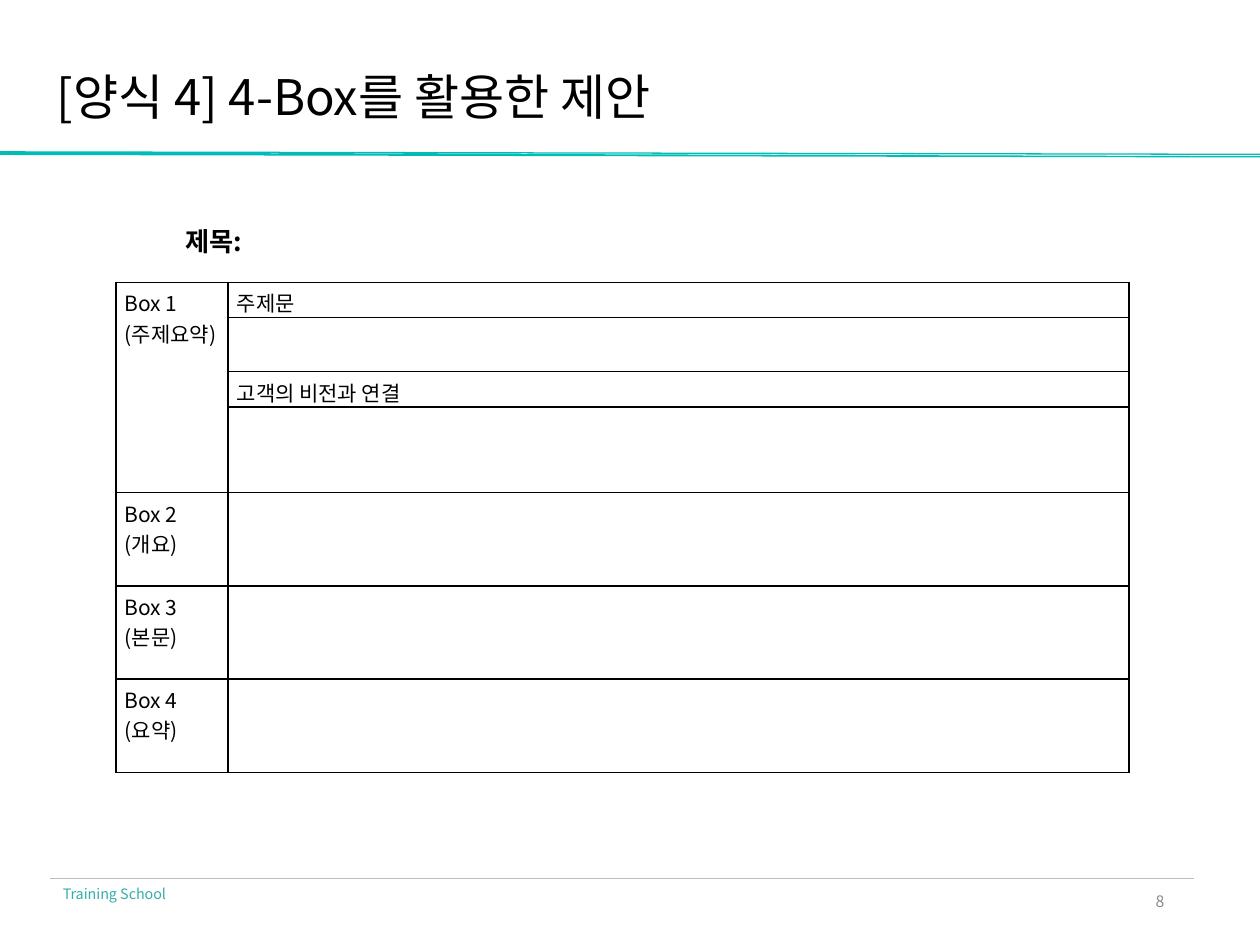
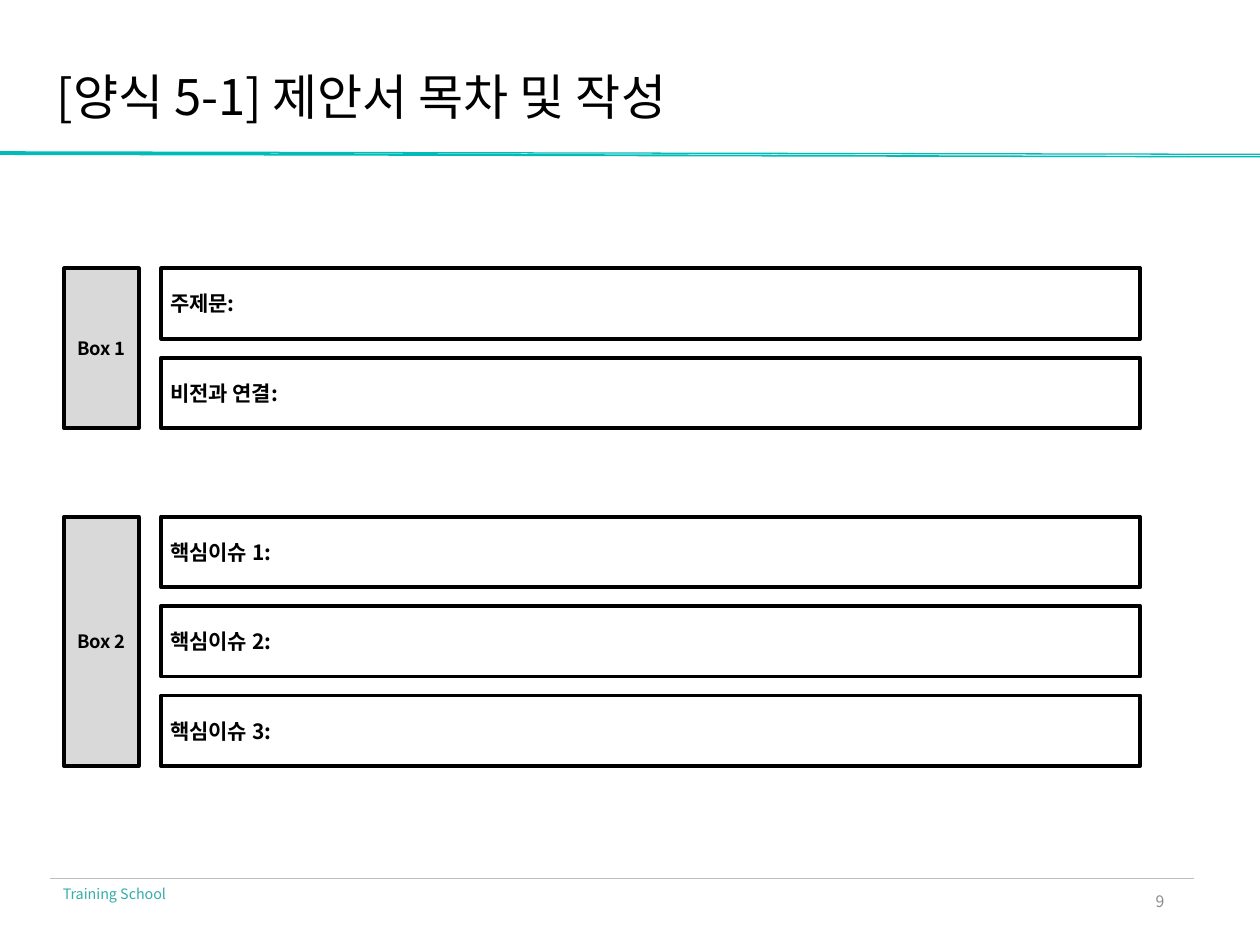
from lxml import etree
from pptx import Presentation
from pptx.dml.color import RGBColor
from pptx.enum.shapes import MSO_CONNECTOR, MSO_SHAPE
from pptx.enum.text import MSO_ANCHOR, MSO_AUTO_SIZE, PP_ALIGN
from pptx.oxml import parse_xml
from pptx.oxml.ns import nsdecls, qn
from pptx.util import Inches, Pt

FONT = "Noto Sans CJK KR"
COLORS = {
    "ink": "000000",
    "band": "01BCB6",
    "rule": "BEBEBE",
    "number": "8C8C8C",
    "footer": "34AEAA",
    "label": "D9D9D9",
}
MARGINS = (0.07, 0.04, 0.07, 0.04)


def color(name):
    return RGBColor.from_string(COLORS[name])


def write(frame, text, size, ink="ink", bold=False, align=PP_ALIGN.LEFT,
          anchor=MSO_ANCHOR.TOP, margins=(0.1, 0.05, 0.1, 0.05)):
    """Fill a text frame, one paragraph a line, in one style."""
    frame.text = text
    frame.word_wrap = True
    frame.vertical_anchor = anchor
    frame.margin_left, frame.margin_top, frame.margin_right, frame.margin_bottom = map(Inches, margins)
    for paragraph in frame.paragraphs:
        paragraph.alignment = align
        paragraph.font.name = FONT
        paragraph.font.size = Pt(size)
        paragraph.font.bold = bold
        paragraph.font.color.rgb = color(ink)
        # Hangul takes the East Asian typeface
        latin = paragraph.font._element.find(qn("a:latin"))
        latin.addnext(parse_xml(f'<a:ea {nsdecls("a")} typeface="{FONT}"/>'))


presentation = Presentation()
presentation.slide_width = Inches(10)
presentation.slide_height = Inches(7.5)

# Shared frame: title, band, footer rule, footer and number
titles = {8: "[양식 4] 4-Box를 활용한 제안", 9: "[양식 5-1] 제안서 목차 및 작성"}
slides = []
for number, title_text in titles.items():
    slide = presentation.slides.add_slide(presentation.slide_layouts[5])
    slides.append(slide)

    title = slide.shapes.title
    title.left, title.top, title.width, title.height = map(Inches, (0.45, 0.53, 9.03, 0.47))
    write(title.text_frame, title_text, 28, anchor=MSO_ANCHOR.MIDDLE, margins=(0, 0, 0, 0))
    title.text_frame.auto_size = MSO_AUTO_SIZE.SHAPE_TO_FIT_TEXT

    builder = slide.shapes.build_freeform(Inches(0), Inches(1.21))
    lower_strip = [(0, 1.23), (10, 1.25), (10, 1.24)]
    upper_strip = [(0, 1.21), (10, 1.23), (10, 1.22)]
    builder.add_line_segments([(Inches(x), Inches(y)) for x, y in lower_strip])
    builder.move_to(Inches(0), Inches(1.2))
    builder.add_line_segments([(Inches(x), Inches(y)) for x, y in upper_strip])
    band = builder.convert_to_shape()
    band.shadow.inherit = False
    band.fill.solid()
    band.fill.fore_color.rgb = color("band")
    band.line.fill.background()

    rule = slide.shapes.add_connector(
        MSO_CONNECTOR.STRAIGHT, Inches(0.4), Inches(6.97), Inches(9.48), Inches(6.97))
    rule.line.color.rgb = color("rule")
    rule.line.width = Pt(0.5)
    etree.SubElement(rule._element.spPr, qn("a:effectLst"))

    number_box = slide.shapes.add_textbox(Inches(7.06), Inches(6.95), Inches(2.25), Inches(0.4))
    write(number_box.text_frame, str(number), 9, "number", align=PP_ALIGN.RIGHT,
          anchor=MSO_ANCHOR.MIDDLE, margins=MARGINS)
    footer = slide.shapes.add_textbox(Inches(0.4), Inches(6.98), Inches(1.29), Inches(0.24))
    write(footer.text_frame, "Training School", 8.2, "footer")

form_slide, outline_slide = slides

# Form slide: heading and four-box table
heading = form_slide.shapes.add_textbox(Inches(1.37), Inches(1.74), Inches(7.32), Inches(0.35))
write(heading.text_frame, "제목:", 15, bold=True)

rows = [
    (0.28, "Box 1\n(주제요약)", "주제문"),
    (0.43, "", ""),
    (0.28, "", "고객의 비전과 연결"),
    (0.68, "", ""),
    (0.74, "Box 2\n(개요)", ""),
    (0.74, "Box 3\n(본문)", ""),
    (0.74, "Box 4\n(요약)", ""),
]
table = form_slide.shapes.add_table(
    len(rows), 2, Inches(0.92), Inches(2.24), Inches(8.03), Inches(3.87)).table
table.first_row = table.horz_banding = False
table.columns[0].width = Inches(0.89)
table.columns[1].width = Inches(7.15)
for row_index, (height, *texts) in enumerate(rows):
    table.rows[row_index].height = Inches(height)
    for column_index, text in enumerate(texts):
        cell = table.cell(row_index, column_index)
        write(cell.text_frame, text, 12)
        cell.margin_left = cell.margin_right = Inches(0.07)
        cell.margin_top = Inches(0.04)
        cell.margin_bottom = 0
        cell.fill.background()
        for position, side in enumerate(("lnL", "lnR", "lnT", "lnB")):
            cell._tc.tcPr.insert(position, parse_xml(
                f'<a:{side} {nsdecls("a")} w="{Pt(1)}"><a:solidFill>'
                f'<a:srgbClr val="{COLORS["ink"]}"/></a:solidFill></a:{side}>'))
        # Text frame margins belong to shapes; the cell keeps its own
        body = cell._tc.txBody.bodyPr
        for name in list(body.attrib):
            del body.attrib[name]
table.cell(0, 0).merge(table.cell(3, 0))

# Outline slide: label boxes beside stacked entry boxes
groups = [
    ("Box 1", 2.13, ["주제문:", "비전과 연결:"]),
    ("Box 2", 4.1, ["핵심이슈 1:", "핵심이슈 2:", "핵심이슈 3:"]),
]
ENTRY_HEIGHT, ENTRY_STEP = 0.56, 0.71
for label, top, entries in groups:
    label_height = ENTRY_STEP * (len(entries) - 1) + ENTRY_HEIGHT
    boxes = [(label, 0.51, top, 0.59, label_height, 10.5, PP_ALIGN.CENTER)]
    for index, entry in enumerate(entries):
        boxes.append((entry, 1.28, top + index * ENTRY_STEP, 7.77, ENTRY_HEIGHT, 12, PP_ALIGN.LEFT))
    for text, left, box_top, width, height, size, align in boxes:
        box = outline_slide.shapes.add_shape(
            MSO_SHAPE.RECTANGLE, Inches(left), Inches(box_top), Inches(width), Inches(height))
        box.shadow.inherit = False
        if text == label:
            box.fill.solid()
            box.fill.fore_color.rgb = color("label")
        else:
            box.fill.background()
        box.line.color.rgb = color("ink")
        box.line.width = Pt(2.25)
        write(box.text_frame, text, size, bold=True, align=align,
              anchor=MSO_ANCHOR.MIDDLE, margins=MARGINS)

presentation.save("out.pptx")
